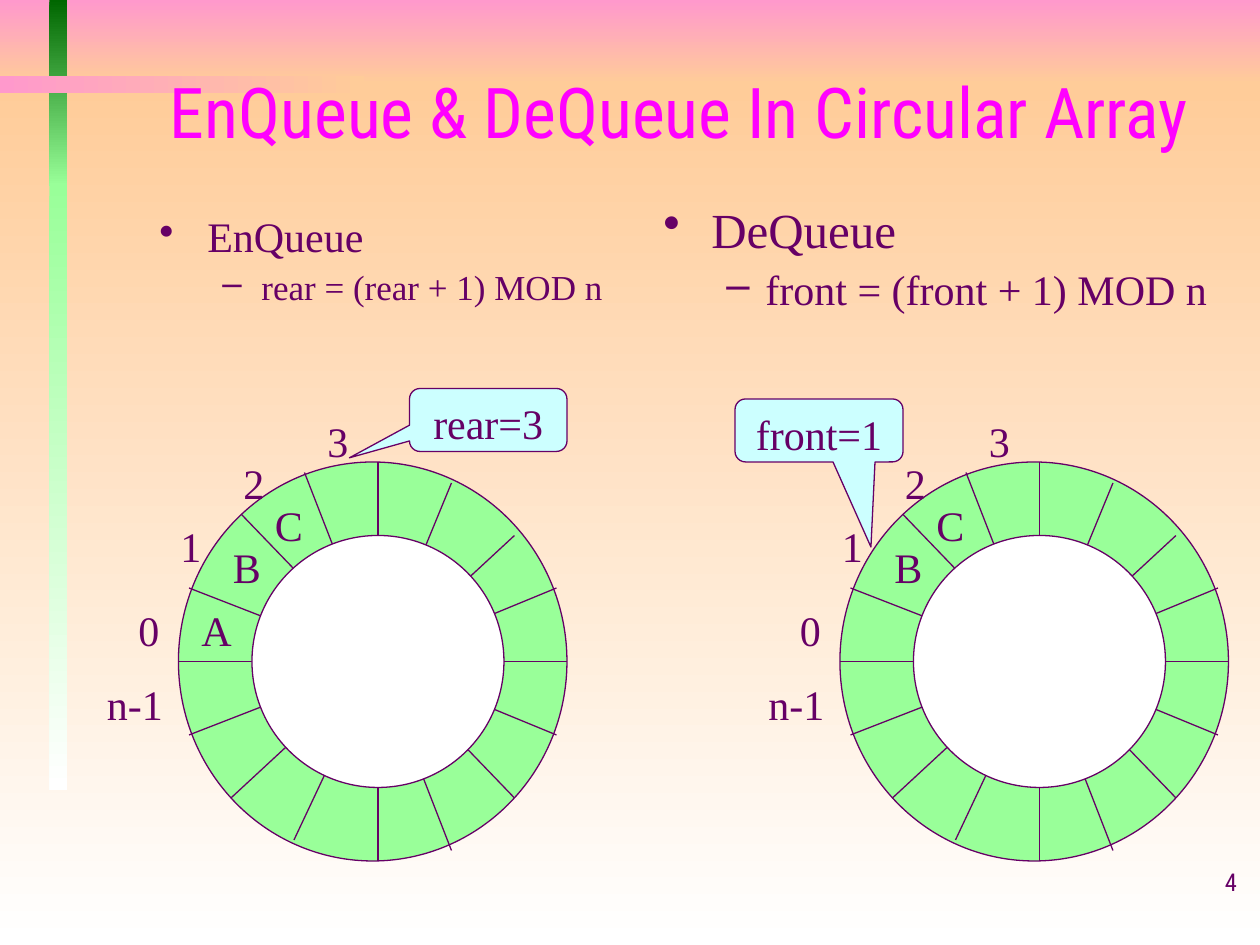
from lxml.etree import SubElement
from pptx import Presentation
from pptx.dml.color import RGBColor
from pptx.enum.shapes import MSO_CONNECTOR as CONN, MSO_SHAPE as SHAPE
from pptx.enum.text import MSO_ANCHOR as ANCHOR, PP_ALIGN as ALIGN
from pptx.oxml.ns import qn
from pptx.util import Inches, Pt

CELL = Inches(1) // 12
COLS, ROWS = 120, 90
SERIF, SANS = "Times New Roman", "Roboto Condensed"
PLUM = "660066"
rgb = RGBColor.from_string


def cells(*values):
    return [int(v * CELL) for v in values]


def write(sp, lines, sizes, font=SERIF, color=PLUM, align=ALIGN.LEFT, anchor=ANCHOR.TOP):
    tf = sp.text_frame
    tf.word_wrap = True
    tf.vertical_anchor = anchor
    tf.text = lines
    for p, size in zip(tf.paragraphs, sizes):
        p.alignment = align
        f = p.runs[0].font
        f.name, f.size = font, Pt(size)
        f.color.rgb = rgb(color)
    return tf


prs = Presentation()
prs.slide_width, prs.slide_height = cells(COLS, ROWS)
s = prs.slides.add_slide(prs.slide_layouts[6])

bands = [
    (0, 0, COLS, 8, "FF99CC", "FFCC99", 270),
    (0, 8, COLS, ROWS - 8, "FFCC99", "FFFFFF", 270),
    (4.7, 0, 1.7, 17.7, "006600", "99FF99", 270),
    (4.7, 17.5, 1.7, 57.7, "99FF99", "FFFFFF", 270),
    (0, 7.2, 34.7, 1.7, "FF99CC", "FFCC99", 0),
]
for x, y, w, h, start, end, angle in bands:
    sp = s.shapes.add_shape(SHAPE.RECTANGLE, *cells(x, y, w, h))
    sp.shadow.inherit = False
    sp.line.fill.background()
    sp.fill.gradient()
    sp.fill.gradient_angle = angle
    for stop, color in zip(sp.fill.gradient_stops, (start, end)):
        stop.color.rgb = rgb(color)

number = s.shapes.add_textbox(*cells(94, 82, 25, 6))
write(number, "4", [14], SANS, align=ALIGN.RIGHT)
title = s.shapes.add_textbox(*cells(15, 4, 105, 13))
write(title, "EnQueue & DeQueue In Circular Array", [40], SANS, "FF00FF", anchor=ANCHOR.MIDDLE)

bodies = [
    (14, 20, 45, "EnQueue\nrear = (rear + 1) MOD n", (24, 20), (6, 5)),
    (62, 19, 58, "DeQueue\nfront = (front + 1) MOD n", (28, 24), (7, 6)),
]
bullets = [("•", 0.38, 0.38), ("–", 0.81, 0.31)]
for x, y, w, lines, sizes, gaps in bodies:
    tf = write(s.shapes.add_textbox(*cells(x, y, w, 12)), lines, sizes)
    for level, (p, gap, (mark, margin, hang)) in enumerate(zip(tf.paragraphs, gaps, bullets)):
        p.level = level
        p.line_spacing = 0.9
        p.space_before = Pt(gap)
        pPr = p._p.get_or_add_pPr()
        pPr.set("marL", str(Inches(margin)))
        pPr.set("indent", str(-Inches(hang)))
        SubElement(SubElement(pPr, qn("a:buClr")), qn("a:srgbClr"), val=PLUM)
        SubElement(pPr, qn("a:buChar"), char=mark)

center = (36, 63)
spokes = [
    ((17, 63), (54, 63)), ((36, 44), (36, 82)),
    ((23, 49), (49, 76)), ((22, 76), (49, 51)),
]
spokes += [(center, rim) for rim in (
    (18, 56), (18, 70), (29, 45), (43, 81), (28, 80), (43, 46), (53, 56), (53, 70))]
indices = [("0", 12, 57, 6), ("1", 16, 49, 6), ("2", 22, 43, 6), ("3", 30, 39, 6), ("n-1", 9, 64, 8)]
items = [("A", 18, 57, 6), ("B", 21, 51, 6), ("C", 25, 47, 6)]

rings = [
    (0, items, "rear=3", (39, 37, 15, 6), (-0.882, 0.601, 0.167)),
    (63, items[1:], "front=1", (70, 38, 16, 6), (0.309, 1.851, 0.167)),
]
for dx, held, note, box, tip in rings:
    outer = s.shapes.add_shape(SHAPE.OVAL, *cells(17 + dx, 44, 37, 38))
    for (x1, y1), (x2, y2) in spokes:
        ln = s.shapes.add_connector(CONN.STRAIGHT, *cells(x1 + dx, y1, x2 + dx, y2))
        ln.line.color.rgb = rgb(PLUM)
        ln.line.width = Pt(0.75)
        SubElement(ln._element.spPr, qn("a:effectLst"))
    inner = s.shapes.add_shape(SHAPE.OVAL, *cells(24 + dx, 51, 24, 24))
    for label, x, y, w in held + indices:
        write(s.shapes.add_textbox(*cells(x + dx, y, w, 6)), label, [24])
    callout = s.shapes.add_shape(SHAPE.ROUNDED_RECTANGULAR_CALLOUT, *cells(*box))
    for i, value in enumerate(tip):
        callout.adjustments[i] = value
    write(callout, note, [24], align=ALIGN.CENTER)
    for sp, fill in ((outer, "99FF99"), (inner, "FFFFFF"), (callout, "CCFFFF")):
        sp.shadow.inherit = False
        sp.fill.solid()
        sp.fill.fore_color.rgb = rgb(fill)
        sp.line.color.rgb = rgb(PLUM)
        sp.line.width = Pt(0.75)

prs.save("out.pptx")
